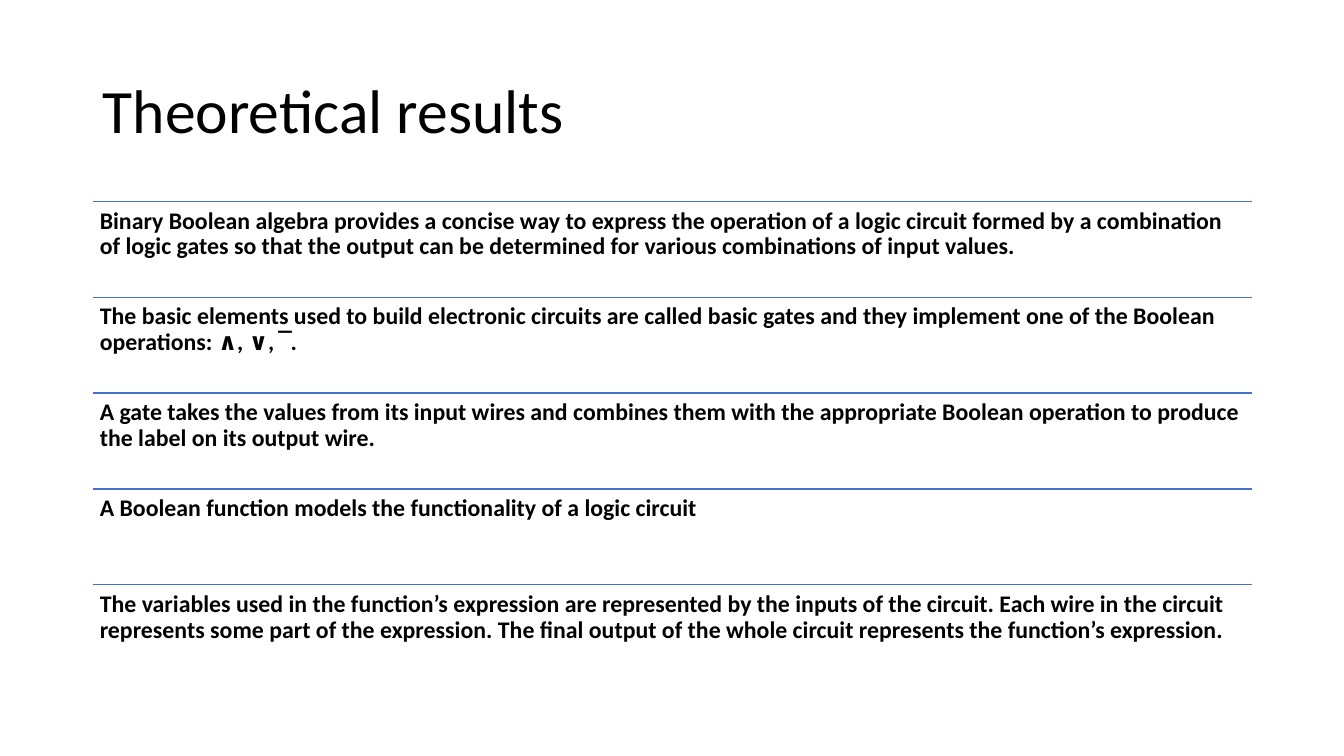
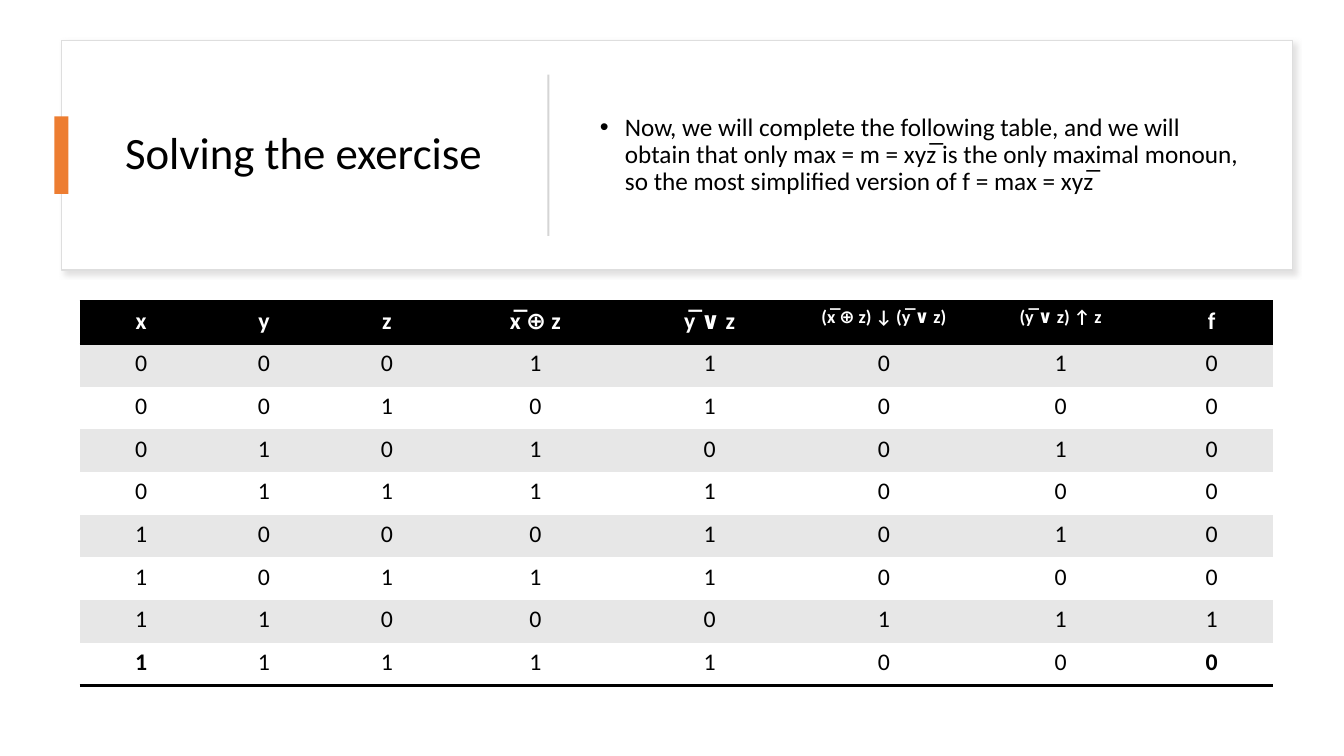
import pptx
import pptx.util
import pptx.dml.color
import pptx.enum.shapes
import pptx.enum.text
import pptx.oxml
import pptx.oxml.ns
from dataclasses import dataclass

ALIGN = pptx.enum.text.PP_ALIGN
ANCHOR = pptx.enum.text.MSO_ANCHOR
XMLNS = pptx.oxml.ns.nsdecls("a")


@dataclass(frozen=True)
class Theme:
    font: str = "Calibri"
    ink: str = "000000"
    paper: str = "FFFFFF"
    rule: str = "4472C4"
    accent: str = "ED7D31"
    edge: str = "DEDEDE"
    divide: str = "D5D5D5"
    shade: str = "C5C3C3"
    stripe: str = "E7E7E7"
    title: int = 44
    head: int = 32
    body: int = 18
    text: int = 17
    small: int = 13


THEME = Theme()
WIDE, HIGH = pptx.util.Inches(13.33), pptx.util.Inches(7.5)
MID = 20.53  # middle of the top card, in percent of the height

POINTS = [
    "Binary Boolean algebra provides a concise way to express the operation of a logic circuit formed by "
    "a combination of logic gates so that the output can be determined for various combinations of input values.",
    "The basic elements used to build electronic circuits are called basic gates and they implement "
    "one of the Boolean operations: ∧, ∨,  ̅ .",
    "A gate takes the values from its input wires and combines them with the appropriate Boolean operation "
    "to produce the label on its output wire.",
    "A Boolean function models the functionality of a logic circuit",
    "The variables used in the function’s expression are represented by the inputs of the circuit. "
    "Each wire in the circuit represents some part of the expression. "
    "The final output of the whole circuit represents the function’s expression.",
]
CLAIM = ("Now, we will complete the following table, and we will obtain that only max = m = xyz̅ "
         "is the only maximal monoun, so the most simplified version of f = max = xyz̅")
HEADS = ["x", "y", "z", "x̅ ⊕ z", "y̅ ∨ z", "(x̅ ⊕ z) ↓ (y̅ ∨ z)", "(y̅ ∨ z) ↑ z", "f"]
COLS = [1.22, 1.22, 1.22, 1.73, 1.73, 1.73, 1.78, 1.22]
BITS = ["00011010", "00101000", "01010010", "01111000",
        "10001010", "10111000", "11000111", "11111000"]


def area(x, y, w, h):
    """Turn percent of the slide's size into lengths."""
    return [round(part * full / 100)
            for part, full in ((x, WIDE), (y, HIGH), (w, WIDE), (h, HIGH))]


def centre(x, w, h):
    """An area centred on the middle of the top card."""
    return area(x, MID - h / 2, w, h)


def tint(code):
    return pptx.dml.color.RGBColor.from_string(code)


def write(frame, text, size=THEME.text, color=THEME.ink, bold=False, align=ALIGN.LEFT,
          space=None, before=0, bullet=False):
    para = frame.paragraphs[0]
    para.alignment = align
    para.space_before = pptx.util.Pt(before)
    if space:
        para.line_spacing = space
    run = para.add_run()
    run.text = text
    font = run.font
    font.name, font.size, font.bold = THEME.font, pptx.util.Pt(size), bold
    font.color.rgb = tint(color)
    if bullet:
        props = para._p.get_or_add_pPr()
        dent = pptx.util.Inches(0.25)
        props.set("marL", str(dent))
        props.set("indent", str(-dent))
        props.append(pptx.oxml.parse_xml(f'<a:buFont {XMLNS} typeface="Arial"/>'))
        props.append(pptx.oxml.parse_xml(f'<a:buChar {XMLNS} char="•"/>'))


def setup(frame, anchor=ANCHOR.TOP, inset=None):
    frame.word_wrap = True
    frame.auto_size = pptx.enum.text.MSO_AUTO_SIZE.NONE
    frame.vertical_anchor = anchor
    if inset is not None:
        gap = pptx.util.Inches(inset)
        frame.margin_left = frame.margin_right = gap
        frame.margin_top = frame.margin_bottom = gap
    return frame


def head(slide, text, place, size):
    title = slide.shapes.title
    title.left, title.top, title.width, title.height = place
    write(setup(title.text_frame, ANCHOR.MIDDLE), text, size=size, space=0.9)


def note(slide, text, place, anchor=ANCHOR.TOP, inset=None, **style):
    box = slide.shapes.add_textbox(*place)
    write(setup(box.text_frame, anchor, inset), text, space=0.9, **style)


def block(slide, place, fill, line=None):
    shape = slide.shapes.add_shape(pptx.enum.shapes.MSO_SHAPE.RECTANGLE, *place)
    shape.shadow.inherit = False
    shape.fill.solid()
    shape.fill.fore_color.rgb = tint(fill)
    if line:
        shape.line.color.rgb = tint(line)
        shape.line.width = pptx.util.Pt(1)
    else:
        shape.line.fill.background()
    return shape


def rule(slide, x, y, w):
    left, top, width, _ = area(x, y, w, 0)
    line = slide.shapes.add_connector(
        pptx.enum.shapes.MSO_CONNECTOR.STRAIGHT, left, top, left + width, top)
    line.line.color.rgb = tint(THEME.rule)
    line.line.width = pptx.util.Pt(1)
    line._element.spPr.append(pptx.oxml.parse_xml(f"<a:effectLst {XMLNS}/>"))


def card(slide, place):
    """A white panel with a soft shadow, behind all else."""
    shape = block(slide, place, THEME.paper, THEME.edge)
    glow = shape._element.spPr.find(pptx.oxml.ns.qn("a:effectLst"))
    glow.append(pptx.oxml.parse_xml(
        f'<a:outerShdw {XMLNS} blurRad="50800" dist="38100" dir="2700000" algn="tl" rotWithShape="0">'
        f'<a:srgbClr val="{THEME.shade}"><a:alpha val="50000"/></a:srgbClr></a:outerShdw>'))
    slide.shapes._spTree.insert(2, shape._element)


def border(cell, *sides):
    props = cell._tc.get_or_add_tcPr()
    for spot, side in enumerate(sides):
        props.insert(spot, pptx.oxml.parse_xml(
            f'<a:ln{side} {XMLNS} w="{pptx.util.Pt(2)}"><a:solidFill>'
            f'<a:srgbClr val="{THEME.ink}"/></a:solidFill></a:ln{side}>'))


def grid(slide, place, rows):
    frame = slide.shapes.add_table(len(rows), len(COLS), *place)
    table = frame.table
    table.first_row = table.horz_banding = False
    style = table._tbl.tblPr.find(pptx.oxml.ns.qn("a:tableStyleId"))
    style.text = "{2D5ABB26-0587-4C30-8999-92F81FD0307C}"  # no style, no grid
    for col, share in zip(table.columns, COLS):
        col.width = round(place[2] * share / sum(COLS))
    last = len(rows) - 1
    for r, row in enumerate(rows):
        table.rows[r].height = round(place[3] / len(rows))
        for c, text in enumerate(row):
            cell = table.cell(r, c)
            top = r == 0
            corner = r == last and c in (0, len(COLS) - 1)
            cell.fill.solid()
            cell.fill.fore_color.rgb = tint(
                THEME.ink if top else THEME.stripe if r % 2 else THEME.paper)
            write(cell.text_frame, text, align=ALIGN.CENTER, bold=top or corner,
                  size=THEME.small if len(text) > 8 else THEME.text,
                  color=THEME.paper if top else THEME.ink)
            if top:
                border(cell, "T", "B")
            elif r == last:
                border(cell, "B")


def theory(slide):
    left, width, first, step = 6.9, 86.25, 26.67, 12.67
    head(slide, "Theoretical results", area(left, 5.33, width, 19.33), THEME.title)
    for n, text in enumerate(POINTS):
        top = first + n * step
        rule(slide, left, top, width)
        note(slide, text, area(left, top, width, step), inset=0.07, bold=True)


def solve(slide):
    # Top card
    card(slide, centre(4.58, 91.6, 30.4))
    head(slide, "Solving the exercise", centre(8.55, 29.18, 24), THEME.head)
    block(slide, centre(4.05, 1.05, 10.27), THEME.accent)
    block(slide, centre(40.73, 0.15, 21.33), THEME.divide)
    note(slide, CLAIM, centre(43.89, 49.2, 24), anchor=ANCHOR.MIDDLE,
         size=THEME.body, before=10, bullet=True)
    # Truth table
    grid(slide, area(5.93, 39.87, 88.8, 50.8), [HEADS, *BITS])


def main():
    deck = pptx.Presentation()
    deck.slide_width, deck.slide_height = WIDE, HIGH
    for build in (theory, solve):
        build(deck.slides.add_slide(deck.slide_layouts[5]))
    deck.save("out.pptx")


if __name__ == "__main__":
    main()
